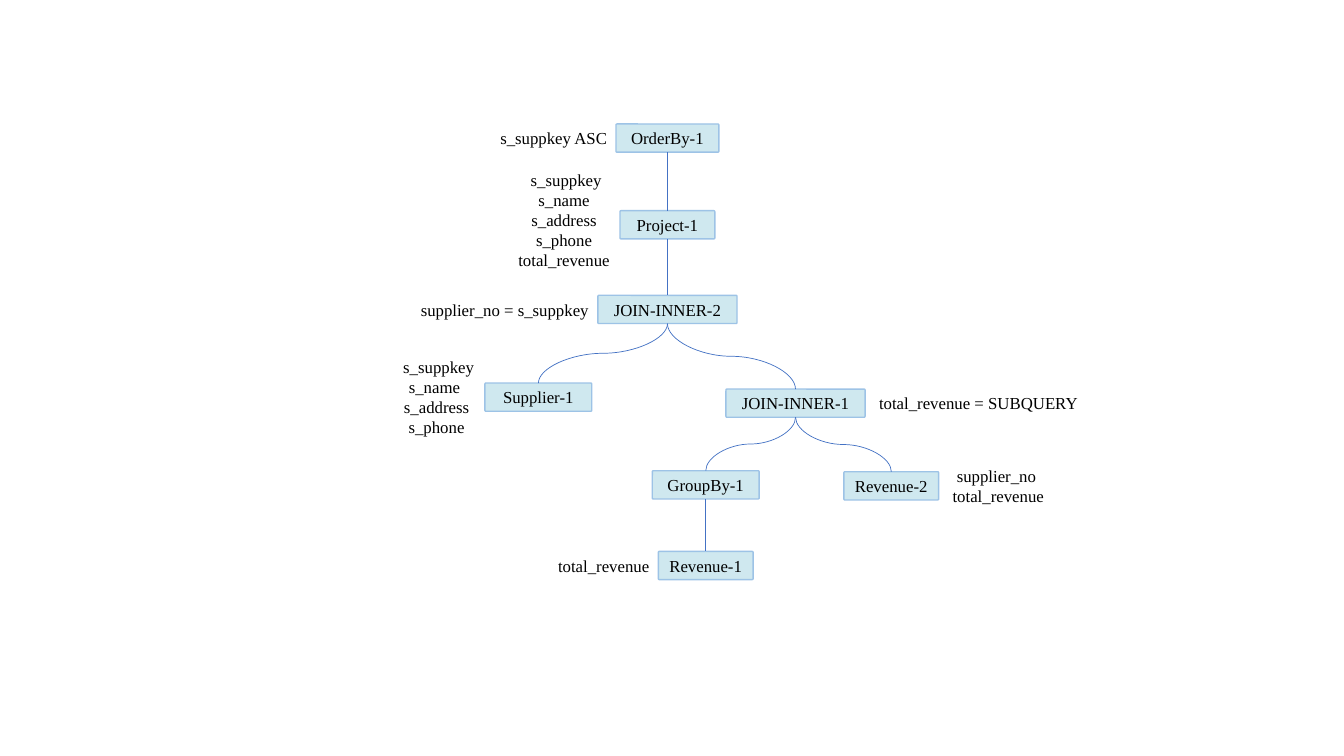
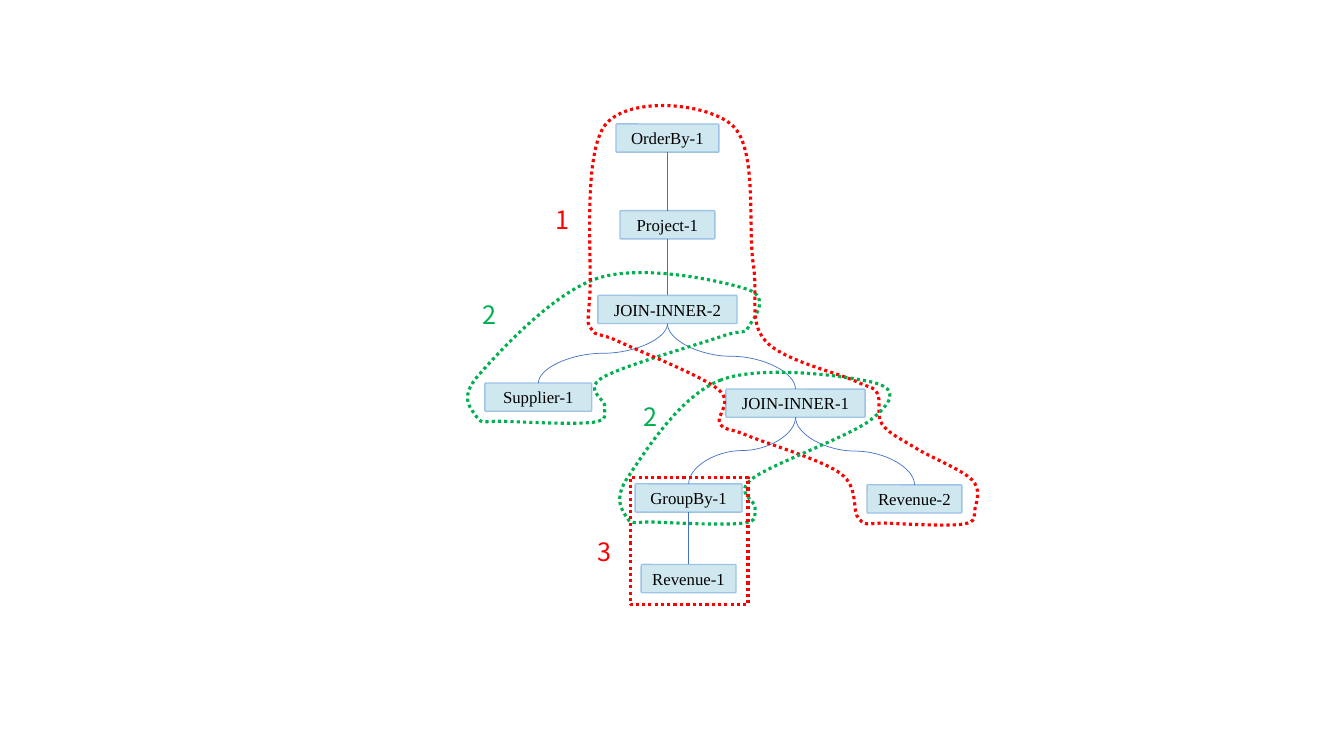
from dataclasses import dataclass

from lxml.etree import SubElement
from pptx import Presentation
from pptx.dml.color import RGBColor
from pptx.enum.dml import MSO_LINE
from pptx.enum.shapes import MSO_CONNECTOR as Connector, MSO_SHAPE as Preset
from pptx.enum.text import MSO_ANCHOR as Anchor, MSO_AUTO_SIZE as AutoSize, PP_ALIGN as Align
from pptx.oxml.ns import qn
from pptx.util import Inches, Pt

SERIF = "Times New Roman"
SANS = "Noto Sans CJK SC"
BLACK = "000000"
RED = "FF0000"
GREEN = "00B050"
NODE_FILL = "CFE8EF"
NODE_LINE = "9DC3E6"
EDGE_LINE = "4472C4"

SLIDE_ROWS = 75
NODE_ROWS = 2.8
LINE_ROWS = 2
TRUNK_COLUMN = 28.2
TOP_SITE, BOTTOM_SITE = 0, 2
TOP_LEFT, TOP_RIGHT, BOTTOM_LEFT, BOTTOM_RIGHT = (0, 0), (1, 0), (0, 1), (1, 1)

ORDER, PROJECT = "OrderBy-1", "Project-1"
UPPER_JOIN, LOWER_JOIN = "JOIN-INNER-2", "JOIN-INNER-1"
SUPPLIER, GROUP = "Supplier-1", "GroupBy-1"
LEFT_REVENUE, RIGHT_REVENUE = "Revenue-1", "Revenue-2"
CHILDREN = {
    ORDER: [PROJECT],
    PROJECT: [UPPER_JOIN],
    UPPER_JOIN: [SUPPLIER, LOWER_JOIN],
    LOWER_JOIN: [GROUP, RIGHT_REVENUE],
    GROUP: [LEFT_REVENUE],
}


@dataclass
class Region:
    left: int
    top: int
    cell: int

    def box(self, column, row, columns, rows):
        left = self.left + round(column * self.cell)
        top = self.top + round(row * self.cell)
        return left, top, round(columns * self.cell), round(rows * self.cell)

    def near(self, node, corner, outward, away):
        right, bottom = corner
        x = node.left + right * node.width + (2 * right - 1) * outward * self.cell
        y = node.top + bottom * node.height + (2 * bottom - 1) * away * self.cell
        return round(x), round(y)


def color(hex_text):
    return RGBColor.from_string(hex_text)


def write(frame, text, size=12, font=SERIF, ink=BLACK, align=Align.LEFT):
    frame.word_wrap = True
    for index, line in enumerate(text.split("\n")):
        paragraph = frame.paragraphs[0] if index == 0 else frame.add_paragraph()
        paragraph.alignment = align
        run = paragraph.add_run()
        run.text = line
        run.font.size = Pt(size)
        run.font.name = font
        run.font.color.rgb = color(ink)


def add_label(slide, box, text, **text_format):
    frame = slide.shapes.add_textbox(*box).text_frame
    write(frame, text, **text_format)
    frame.auto_size = AutoSize.SHAPE_TO_FIT_TEXT


def add_node(slide, region, name, center, row, columns):
    box = region.box(center - columns / 2, row, columns, NODE_ROWS)
    shape = slide.shapes.add_shape(Preset.ROUNDED_RECTANGLE, *box)
    shape.adjustments[0] = 0.036
    shape.shadow.inherit = False
    shape.fill.solid()
    shape.fill.fore_color.rgb = color(NODE_FILL)
    shape.line.color.rgb = color(NODE_LINE)
    shape.line.width = Pt(1)
    frame = shape.text_frame
    frame.margin_left = frame.margin_right = frame.margin_top = frame.margin_bottom = 0
    frame.vertical_anchor = Anchor.MIDDLE
    write(frame, name, align=Align.CENTER)
    return shape


def turn_downward(connector):
    start, end = connector.begin_x, connector.end_x
    top, drop = connector.top, connector.height
    reach = abs(end - start)
    connector.left = (start + end - drop) // 2
    connector.top = top + (drop - reach) // 2
    connector.width, connector.height = drop, reach
    frame = connector._element.spPr.find(qn("a:xfrm"))
    goes_right = end > start
    frame.set("rot", "16200000" if goes_right else "5400000")
    frame.set("flipH", "1" if goes_right else "0")


def add_edge(slide, parent, child):
    start = parent.left + parent.width // 2, parent.top + parent.height
    end = child.left + child.width // 2, child.top
    straight = abs(start[0] - end[0]) < Inches(0.05)
    kind = Connector.STRAIGHT if straight else Connector.CURVE
    connector = slide.shapes.add_connector(kind, *start, *end)
    connector.begin_connect(parent, BOTTOM_SITE)
    connector.end_connect(child, TOP_SITE)
    if not straight:
        turn_downward(connector)
    connector.line.color.rgb = color(EDGE_LINE)
    connector.line.width = Pt(0.5)
    SubElement(connector._element.spPr, qn("a:effectLst"))


def draw_tree(slide, region, group_center, revenue_center, group_row):
    places = {
        ORDER: (TRUNK_COLUMN, 2.3, 10.2),
        PROJECT: (TRUNK_COLUMN, 10.9, 9.4),
        UPPER_JOIN: (TRUNK_COLUMN, 19.3, 13.8),
        SUPPLIER: (15.4, 28, 10.6),
        LOWER_JOIN: (40.9, 28.6, 13.8),
        GROUP: (group_center, group_row, 10.6),
        RIGHT_REVENUE: (revenue_center, group_row + 0.1, 9.4),
        LEFT_REVENUE: (group_center, group_row + 8, 9.4),
    }
    nodes = {name: add_node(slide, region, name, *place) for name, place in places.items()}
    for parent, children in CHILDREN.items():
        for child in children:
            add_edge(slide, nodes[parent], nodes[child])
    return nodes


def label_left(slide, region, node, text, columns, align=Align.RIGHT, lift=0):
    rows = 1 + LINE_ROWS * len(text.split("\n"))
    left, top = region.near(node, TOP_LEFT, columns - 0.1, (rows - NODE_ROWS) / 2 + lift)
    add_label(slide, (left, top, *region.box(0, 0, columns, rows)[2:]), text, align=align)


def label_right(slide, region, node, text, columns):
    rows = 1 + LINE_ROWS * len(text.split("\n"))
    left, top = region.near(node, TOP_RIGHT, 0.4, (rows - NODE_ROWS) / 2)
    add_label(slide, (left, top, *region.box(0, 0, columns, rows)[2:]), text)


def draw_conditions(slide, region, nodes):
    supplier_fields = " s_suppkey\ns_name \ns_address\ns_phone"
    project_fields = " s_suppkey\ns_name\ns_address\ns_phone\ntotal_revenue"
    label_left(slide, region, nodes[ORDER], "s_suppkey ASC", 13.2)
    label_left(slide, region, nodes[PROJECT], project_fields, 11.3, align=Align.CENTER, lift=0.5)
    label_left(slide, region, nodes[UPPER_JOIN], "supplier_no = s_suppkey", 19.3)
    label_left(slide, region, nodes[SUPPLIER], supplier_fields, 9.8, align=Align.CENTER)
    label_left(slide, region, nodes[LEFT_REVENUE], "total_revenue", 11.7)
    label_right(slide, region, nodes[LOWER_JOIN], "total_revenue = SUBQUERY", 22.2)
    label_right(slide, region, nodes[RIGHT_REVENUE], " supplier_no\ntotal_revenue", 11.7)


def style_outline(shape, ink):
    shape.shadow.inherit = False
    shape.fill.background()
    shape.line.color.rgb = color(ink)
    shape.line.width = Pt(2.25)
    shape.line.dash_style = MSO_LINE.ROUND_DOT


def smooth_controls(points):
    def tangent(index):
        before, after = points[index - 1], points[(index + 1) % len(points)]
        return (after[0] - before[0]) / 6, (after[1] - before[1]) / 6

    for index, (x, y) in enumerate(points):
        following = (index + 1) % len(points)
        next_x, next_y = points[following]
        leave_x, leave_y = tangent(index)
        arrive_x, arrive_y = tangent(following)
        yield round(x + leave_x), round(y + leave_y)
        yield round(next_x - arrive_x), round(next_y - arrive_y)
        yield next_x, next_y


def add_loop(slide, region, nodes, waypoints, ink):
    points = [region.near(nodes[name], *offset) for name, *offset in waypoints]
    builder = slide.shapes.build_freeform(*points[0])
    builder.add_line_segments(list(smooth_controls(points)), close=True)
    shape = builder.convert_to_shape()
    segments = list(shape._element.iter(qn("a:lnTo")))
    for curve, second, third in zip(segments[::3], segments[1::3], segments[2::3]):
        curve.tag = qn("a:cubicBezTo")
        for segment in (second, third):
            curve.append(segment[0])
            segment.getparent().remove(segment)
    style_outline(shape, ink)


def around_leaf(leaf, shoulder=(0.7, 0.7)):
    return [
        (leaf, TOP_LEFT, *shoulder),
        (leaf, BOTTOM_LEFT, 0.8, 0.6), (leaf, BOTTOM_LEFT, -2, 1),
        (leaf, BOTTOM_RIGHT, 0.1, 1.1), (leaf, BOTTOM_RIGHT, 1.3, -0.4),
        (leaf, TOP_RIGHT, 1, 0.5),
    ]


def left_of_join(join):
    return [
        (join, TOP_LEFT, 0.8, 0),
        (join, BOTTOM_LEFT, 0.6, 0.6), (join, BOTTOM_LEFT, -2.1, 1.8),
    ]


def around_trunk():
    down = [(ORDER, TOP_LEFT, 1, 0), *left_of_join(UPPER_JOIN), *left_of_join(LOWER_JOIN)]
    up = [
        (RIGHT_REVENUE, TOP_RIGHT, -4.5, 3.6),
        (LOWER_JOIN, BOTTOM_RIGHT, 1.7, 0.7),
        (LOWER_JOIN, TOP_RIGHT, 1.2, -0.4), (LOWER_JOIN, TOP_RIGHT, -1, 0.8),
        (UPPER_JOIN, BOTTOM_RIGHT, 2.8, 1.7), (UPPER_JOIN, TOP_RIGHT, 1.6, 3.2),
        (ORDER, TOP_RIGHT, 1.4, -0.2),
    ]
    return down + around_leaf(RIGHT_REVENUE, shoulder=(2.6, 1.1)) + up


def around_pair(join, leaf, crown, *lower_right):
    return [
        (join, TOP_LEFT, *crown), *around_leaf(leaf),
        *[(join, BOTTOM_RIGHT, *offset) for offset in lower_right],
        (join, TOP_RIGHT, 1, 0.6),
    ]


def draw_stages(slide, region, nodes):
    supplier_pair = around_pair(UPPER_JOIN, SUPPLIER, (0, 1.7), (-1.6, 1.3), (1.1, 0.4))
    group_pair = around_pair(LOWER_JOIN, GROUP, (0.5, 0.9), (0.5, 0.3))
    for waypoints, ink in ((supplier_pair, GREEN), (around_trunk(), RED), (group_pair, GREEN)):
        add_loop(slide, region, nodes, waypoints, ink)

    left, top = region.near(nodes[GROUP], TOP_LEFT, 0.5, 0.6)
    right, bottom = region.near(nodes[LEFT_REVENUE], BOTTOM_RIGHT, 1.2, 1.2)
    frame = slide.shapes.add_shape(Preset.RECTANGLE, left, top, right - left, bottom - top)
    style_outline(frame, RED)

    numbers = [
        ("1", RED, PROJECT, 7.4, 1.1),
        ("2", GREEN, UPPER_JOIN, 12.4, 0.1),
        ("2", GREEN, LOWER_JOIN, 9.2, -0.7),
        ("3", RED, LEFT_REVENUE, 5.3, 3.3),
    ]
    size = region.box(0, 0, 4.2, 4)[2:]
    for number, ink, name, outward, above in numbers:
        corner = region.near(nodes[name], TOP_LEFT, outward, above)
        add_label(slide, (*corner, *size), number, size=18, font=SANS, ink=ink)


def main():
    presentation = Presentation()
    presentation.slide_width = Inches(13.33)
    presentation.slide_height = Inches(7.5)
    cell = presentation.slide_height // SLIDE_ROWS
    region = Region(38 * cell, 10 * cell, cell)
    blank = presentation.slide_layouts[6]

    plan_slide = presentation.slides.add_slide(blank)
    nodes = draw_tree(plan_slide, region, group_center=32, revenue_center=50.4, group_row=36.7)
    draw_conditions(plan_slide, region, nodes)

    stage_slide = presentation.slides.add_slide(blank)
    nodes = draw_tree(stage_slide, region, group_center=30.3, revenue_center=52.7, group_row=38)
    draw_stages(stage_slide, region, nodes)

    presentation.save("out.pptx")


if __name__ == "__main__":
    main()
